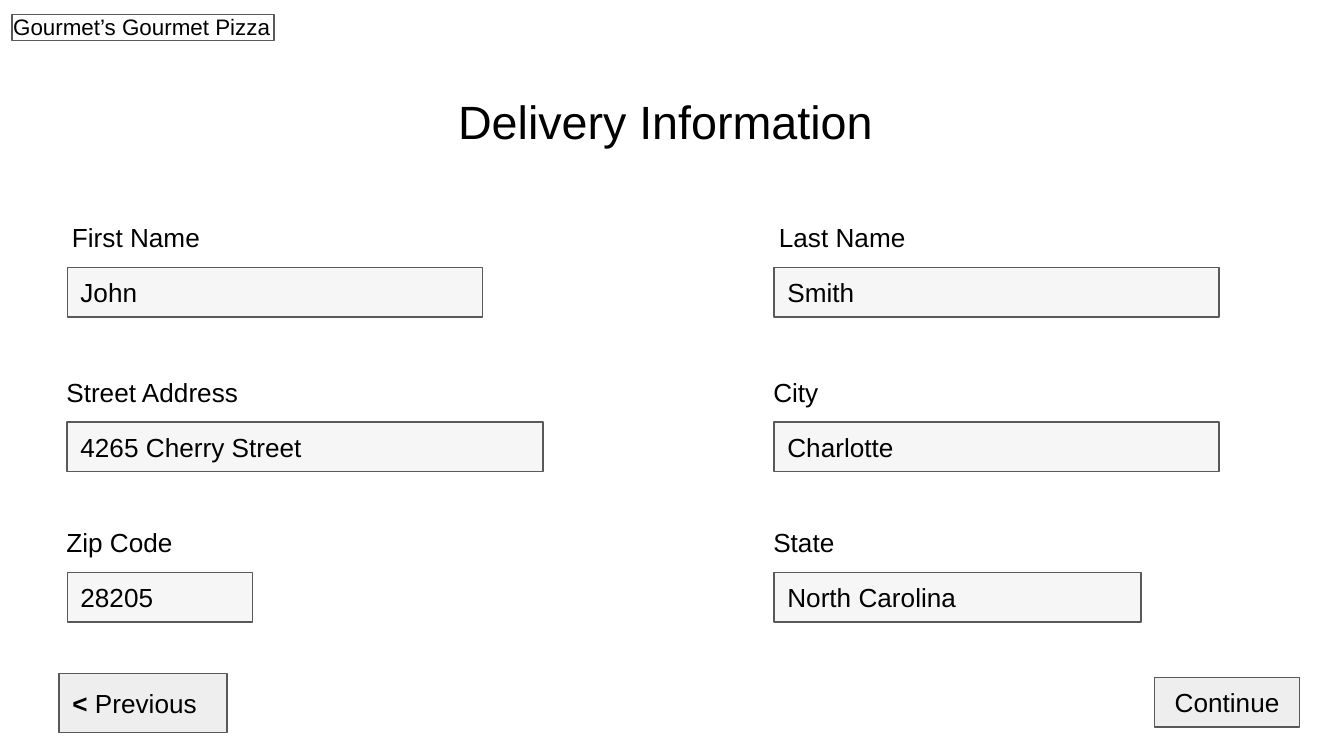
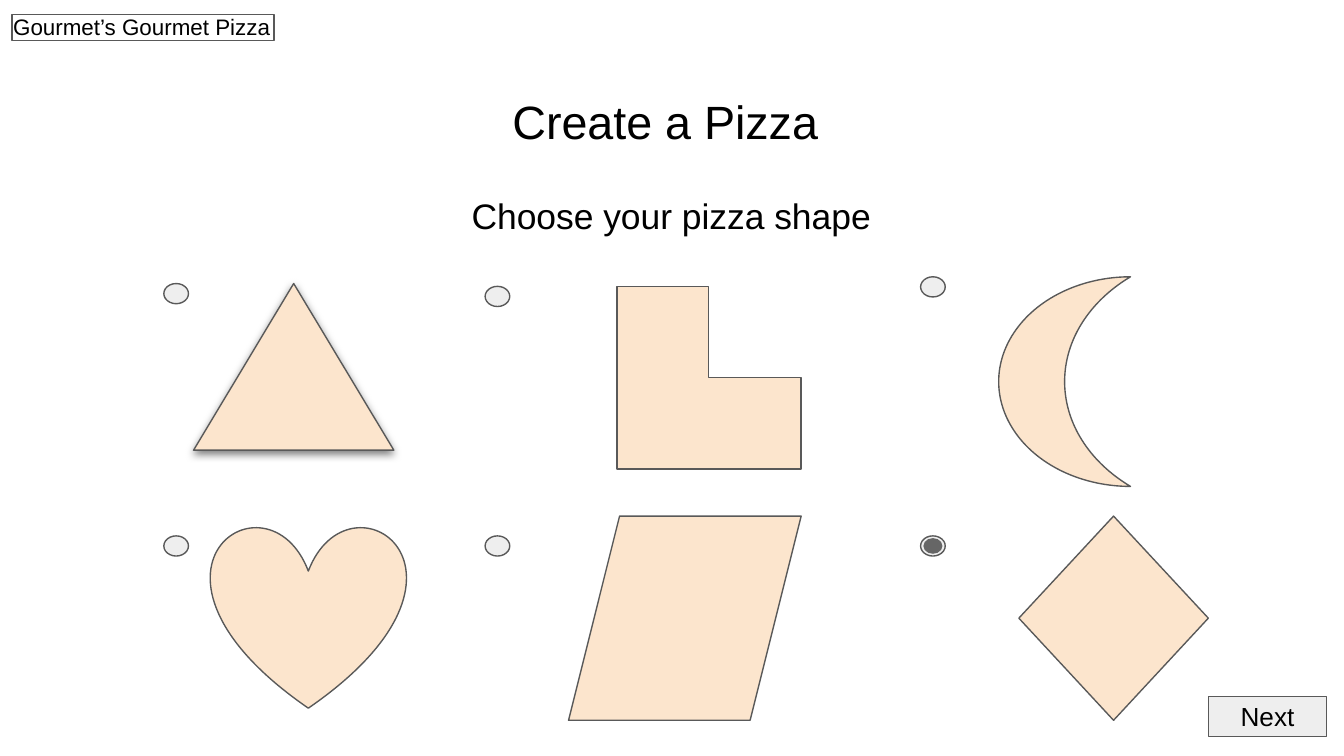
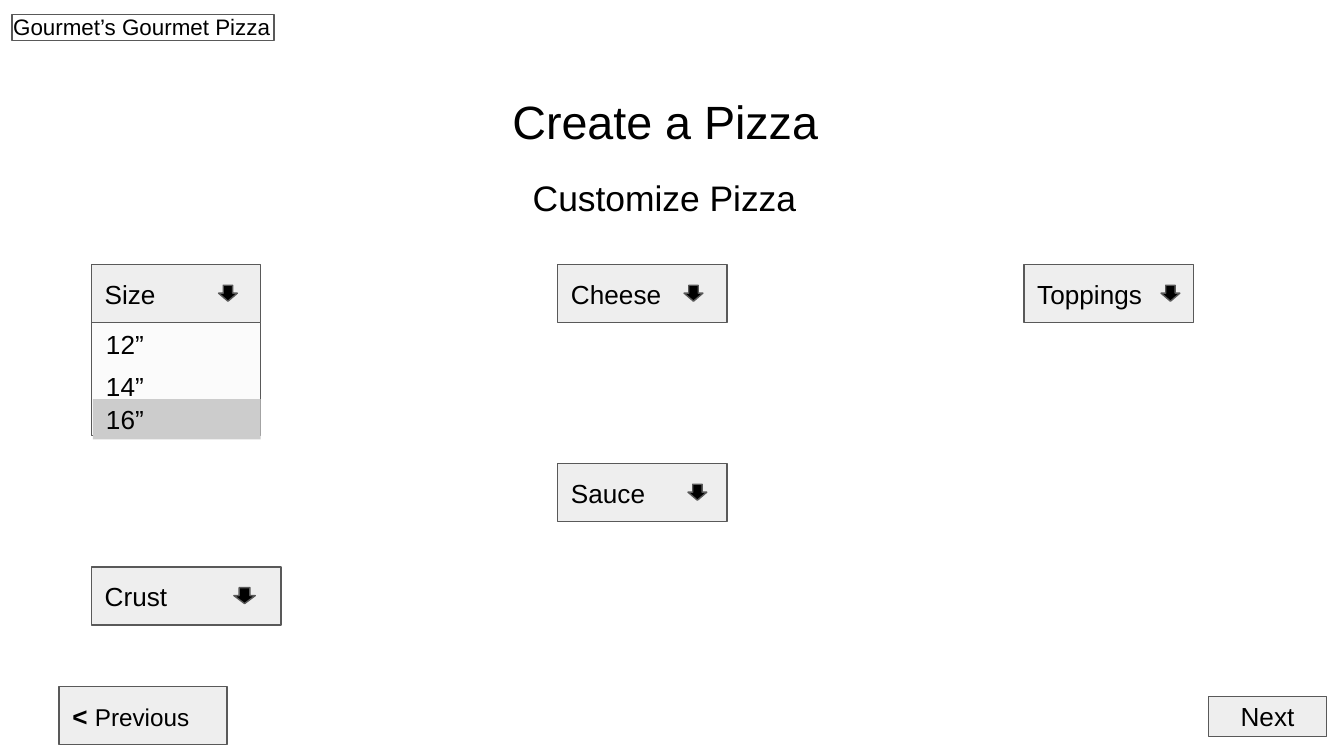
from lxml.etree import SubElement
from pptx import Presentation
from pptx.dml.color import RGBColor
from pptx.enum.shapes import MSO_SHAPE
from pptx.enum.text import MSO_ANCHOR, PP_ALIGN
from pptx.oxml.ns import qn
from pptx.util import Pt

FONT = "Arial"
BLACK = RGBColor(0x00, 0x00, 0x00)
OUTLINE = RGBColor(0x59, 0x59, 0x59)
FIELD = RGBColor(0xF6, 0xF6, 0xF6)
BUTTON = RGBColor(0xEE, 0xEE, 0xEE)
DOUGH = RGBColor(0xFC, 0xE5, 0xCD)
SELECTED_DOT = RGBColor(0x66, 0x66, 0x66)
LIST = RGBColor(0xFB, 0xFB, 0xFB)
SELECTED_ROW = RGBColor(0xCC, 0xCC, 0xCC)


def write(shape, text, size=14, align=PP_ALIGN.LEFT, anchor=MSO_ANCHOR.MIDDLE, lead=""):
    """Fill a shape with one paragraph, optionally opened by a bold lead."""
    frame = shape.text_frame
    frame.word_wrap = True
    frame.vertical_anchor = anchor
    frame.margin_left = frame.margin_right = Pt(7.2)
    frame.margin_top = frame.margin_bottom = Pt(7.2)
    paragraph = frame.paragraphs[0]
    paragraph.alignment = align
    parts = [(lead, 14, True)] if lead else []
    for words, points, bold in parts + [(text, size, False)]:
        run = paragraph.add_run()
        run.text = words
        run.font.name = FONT
        run.font.size = Pt(points)
        run.font.bold = bold
        run.font.color.rgb = BLACK


def block(shapes, box, fill=None, line=OUTLINE, preset=MSO_SHAPE.RECTANGLE):
    """Draw a preset shape; box is left, top, width, height in points."""
    shape = shapes.add_shape(preset, *map(Pt, box))
    shape.shadow.inherit = False
    if fill is None:
        shape.fill.background()
    else:
        shape.fill.solid()
        shape.fill.fore_color.rgb = fill
    if line is None:
        shape.line.fill.background()
    else:
        shape.line.color.rgb = line
        shape.line.width = Pt(0.75)
    return shape


deck = Presentation()
deck.slide_width, deck.slide_height = Pt(720), Pt(405)
layout = deck.slide_layouts.get_by_name("Title Only")

# Titles and the frame round the shop name
pages = []
for heading in ("Delivery Information", "Create a Pizza", "Create a Pizza"):
    page = deck.slides.add_slide(layout)
    title = page.shapes.title
    title.left, title.top, title.width, title.height = map(Pt, (151.2, 42.5, 410.4, 44.6))
    write(title, heading, size=25, align=PP_ALIGN.CENTER, anchor=MSO_ANCHOR.TOP)
    block(page.shapes, (6.5, 7.9, 140.4, 13.7))
    pages.append(page.shapes)
delivery, shape_choice, customize = pages

# Shop name, moved to the layout so that every slide shows it
shop_name = delivery.add_textbox(0, 0, Pt(213.1), Pt(28.8))
write(shop_name, "Gourmet’s Gourmet Pizza", size=12, anchor=MSO_ANCHOR.TOP)
shop_name.element.nvSpPr.cNvPr.id = 20
layout.shapes.element.append(shop_name.element)

# Subtitles
for shapes, subtitle, left, top in (
    (shape_choice, "Choose your pizza shape", 174.2, 96.5),
    (customize, "Customize Pizza", 170.6, 87.1),
):
    subtitle_box = shapes.add_textbox(Pt(left), Pt(top), Pt(370.8), Pt(37.4))
    write(subtitle_box, subtitle, size=19, align=PP_ALIGN.CENTER, anchor=MSO_ANCHOR.TOP)

# Buttons to the next and previous step
for shapes, caption, box in (
    (delivery, "Continue", (618.5, 362.9, 77.8, 26.6)),
    (shape_choice, "Next", (647.3, 373, 63.4, 21.6)),
    (customize, "Next", (647.3, 373, 63.4, 21.6)),
):
    write(block(shapes, box, BUTTON), caption, align=PP_ALIGN.CENTER)
write(block(delivery, (31.7, 360.7, 90, 31.7), BUTTON), " Previous", lead="<")
write(block(customize, (31.7, 367.9, 90, 31), BUTTON), "Previous", size=13, lead="< ")

# Delivery form: row top, label indent, then label, value and width per column
FORM_ROWS = (
    (143.3, 3, (("First Name", "John", 222.5), ("Last Name", "Smith", 238.3))),
    (226.1, 0, (("Street Address", "4265 Cherry Street", 254.9), ("City", "Charlotte", 238.3))),
    (306.7, 0, (("Zip Code", "28205", 99.4), ("State", "North Carolina", 196.6))),
)
for top, indent, entries in FORM_ROWS:
    for left, (label, value, width) in zip((36, 414.7), entries):
        write(block(delivery, (left, top, width, 26.6), FIELD), value)
        label_box = delivery.add_textbox(
            Pt(left - 7.5 + indent), Pt(top - 31.7), Pt(115.2), Pt(31.7))
        write(label_box, label, anchor=MSO_ANCHOR.TOP)

# Pizza shapes, each with its radio button
RADIO_COLUMNS = (87.8, 259.9, 493.2)
PIZZAS = (
    (MSO_SHAPE.ISOSCELES_TRIANGLE, (103.7, 151.9, 107.3, 89.3), 151.9),
    (MSO_SHAPE.CORNER, (330.5, 153.4, 98.6, 97.9), 153.4),
    (MSO_SHAPE.MOON, (535, 148.3, 70.6, 112.3), 148.3),
    (MSO_SHAPE.HEART, (113, 281.5, 104.4, 97.9), 287.1),
    (MSO_SHAPE.PARALLELOGRAM, (304.6, 276.5, 124.6, 109.4), 287.1),
    (MSO_SHAPE.DIAMOND, (545.8, 276.5, 101.5, 109.4), 287.1),
)
for index, (preset, box, radio_top) in enumerate(PIZZAS):
    pizza = block(shape_choice, box, DOUGH, preset=preset)
    if preset == MSO_SHAPE.ISOSCELES_TRIANGLE:
        effects = pizza.element.spPr.find(qn("a:effectLst"))
        shadow = SubElement(effects, qn("a:outerShdw"), blurRad=str(Pt(4.5)),
                            dist=str(Pt(1.5)), dir="5400000", algn="bl", rotWithShape="0")
        shadow_color = SubElement(shadow, qn("a:srgbClr"), val="000000")
        SubElement(shadow_color, qn("a:alpha"), val="50000")
    radio_left = RADIO_COLUMNS[index % 3]
    radio = shape_choice.add_group_shape().shapes
    block(radio, (radio_left, radio_top, 13.2, 10.8), BUTTON, preset=MSO_SHAPE.OVAL)
    dot = SELECTED_DOT if preset == MSO_SHAPE.DIAMOND else BUTTON
    block(radio, (radio_left + 1.5, radio_top + 1.2, 10.2, 8.4), dot, None, MSO_SHAPE.OVAL)

# Drop-down menus: left, top, width, arrow offset, arrow width
for menu, left, top, width, arrow_offset, arrow_width in (
    ("Size", 49, 141.8, 90.7, 68.1, 10.1),
    ("Crust", 49, 303.8, 101.5, 76.3, 11.5),
    ("Cheese", 298.8, 141.8, 90.7, 67.7, 10.1),
    ("Sauce", 298.8, 248.4, 90.7, 69.8, 10.1),
    ("Toppings", 548.6, 141.8, 90.7, 73.4, 10.1),
):
    dropdown = customize.add_group_shape().shapes
    write(block(dropdown, (left, top, width, 31), BUTTON), menu)
    block(dropdown, (left + arrow_offset, top + 11, arrow_width, 8.6), BLACK,
          preset=MSO_SHAPE.DOWN_ARROW)

# Open size list with the last entry selected
block(customize, (49, 172.8, 90.7, 60.5), LIST)
for diameter, top, fill in (
    ("12”", 173.5, None),
    ("14”", 195.8, None),
    ("16”", 213.8, SELECTED_ROW),
):
    box = (49.7, top, 90, 21.6)
    entry = block(customize, box, fill, None) if fill else customize.add_textbox(*map(Pt, box))
    write(entry, diameter)

deck.save("out.pptx")
